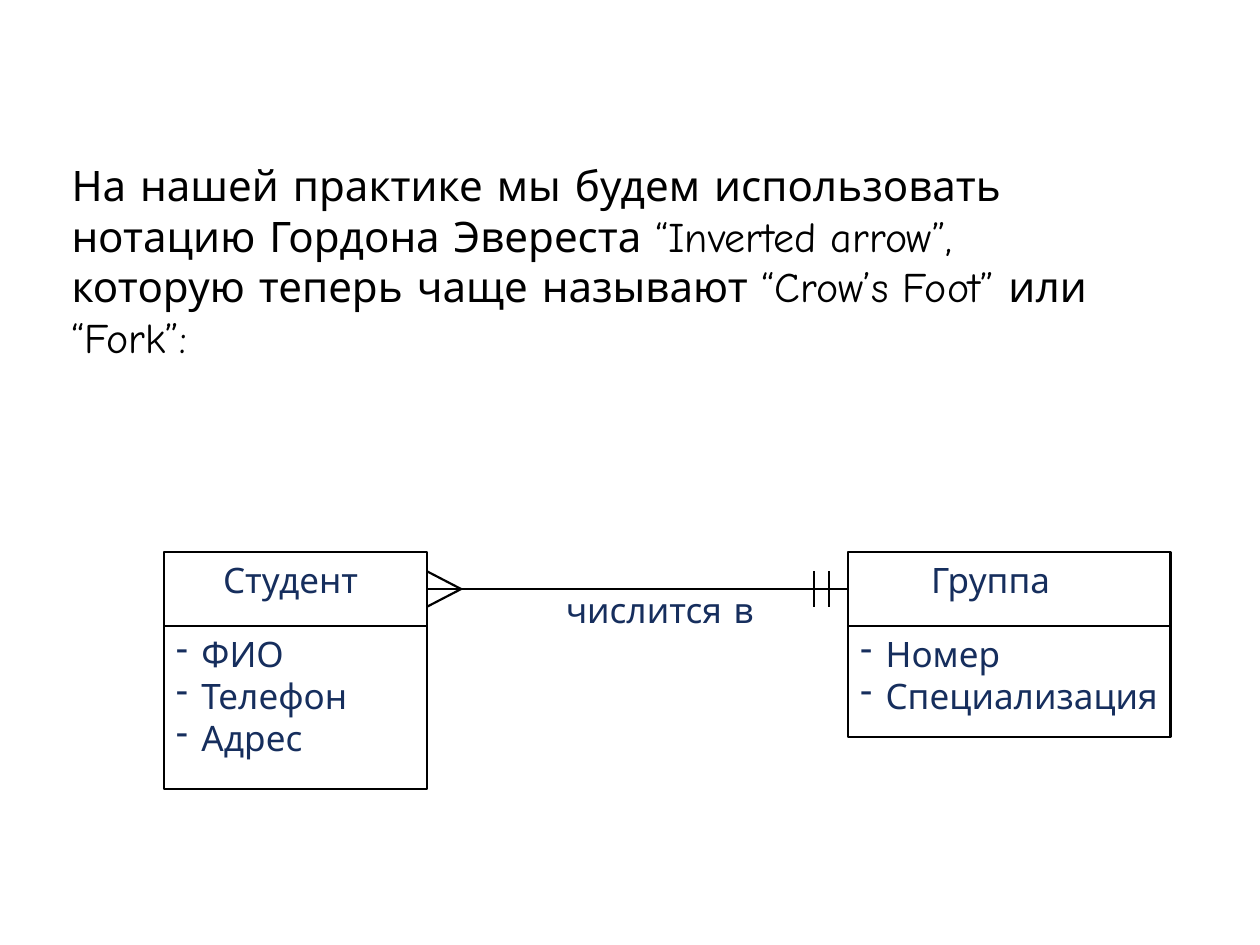
from dataclasses import dataclass

from lxml import etree
from pptx import Presentation
from pptx.dml.color import RGBColor
from pptx.enum import shapes, text
from pptx.oxml.ns import qn
from pptx.util import Inches, Pt


@dataclass(frozen=True)
class Theme:
    font: str = "Comic Neue"
    black: RGBColor = RGBColor(0, 0, 0)
    white: RGBColor = RGBColor(255, 255, 255)
    navy: RGBColor = RGBColor(0x16, 0x2E, 0x5D)
    intro_size: Pt = Pt(24)
    diagram_size: Pt = Pt(20)
    line_width: Pt = Pt(1.25)


theme = Theme()


def write(shape, lines, size, color, left=0.1, top=0.05, wrap=False, dashes=False):
    """Fill a shape with left-aligned paragraphs, optionally as a dashed list."""
    frame = shape.text_frame
    frame.word_wrap = wrap
    frame.vertical_anchor = text.MSO_ANCHOR.TOP
    frame.margin_left, frame.margin_top = Inches(left), Inches(top)
    frame.text = "\n".join(lines)
    for paragraph in frame.paragraphs:
        paragraph.alignment = text.PP_ALIGN.LEFT
        if dashes:
            properties = paragraph._p.get_or_add_pPr()
            properties.set("marL", str(Inches(0.2)))
            properties.set("indent", str(-Inches(0.2)))
            etree.SubElement(properties, qn("a:buChar")).set("char", "-")
        paragraph.font.name = theme.font
        paragraph.font.size = size
        paragraph.font.color.rgb = color


presentation = Presentation()
presentation.slide_width, presentation.slide_height = Inches(10), Inches(7.5)
slide = presentation.slides.add_slide(presentation.slide_layouts[6])

intro = slide.shapes.add_textbox(Inches(0.47), Inches(0.72), Inches(8.57), Inches(6.06))
write(
    intro,
    ["На нашей практике мы будем использовать нотацию Гордона Эвереста “Inverted arrow”, "
     "которую теперь чаще называют “Crow’s Foot” или “Fork”:"],
    theme.intro_size, theme.black, top=0.55, wrap=True,
)

# Entities: name, name inset, attributes, left, width, attribute height
entities = [
    ("Студент", 0.47, ["ФИО", "Телефон", "Адрес"], 1.3, 2.09, 1.29),
    ("Группа", 0.66, ["Номер", "Специализация"], 6.73, 2.56, 0.88),
]
entity_top, header_height = 4.38, 0.59
headers = []
for name, inset, attributes, left, width, attribute_height in entities:
    parts = [
        (entity_top, header_height, [name], inset, False),
        (entity_top + header_height, attribute_height, attributes, 0.1, True),
    ]
    for top, height, lines, margin, dashes in parts:
        box = slide.shapes.add_shape(
            shapes.MSO_SHAPE.RECTANGLE, Inches(left), Inches(top), Inches(width), Inches(height))
        box.shadow.inherit = False
        box.fill.solid()
        box.fill.fore_color.rgb = theme.white
        box.line.color.rgb = theme.black
        box.line.width = theme.line_width
        write(box, lines, theme.diagram_size, theme.navy, left=margin, dashes=dashes)
        if not dashes:
            headers.append(box)

label = slide.shapes.add_textbox(Inches(4.02), Inches(4.62), Inches(2.09), Inches(0.59))
write(label, ["числится в"], theme.diagram_size, theme.navy, left=0.47)

# Relationship line, crow's foot at the student, double bar at the group
axis, spread = entity_top + header_height / 2, 0.14
student_edge, foot_tip, group_edge = 3.39, 3.66, 6.73
segments = [(student_edge, axis, group_edge, axis)]
segments += [(student_edge, axis + side * spread, foot_tip, axis) for side in (-1, 1)]
segments += [(x, axis + spread, x, axis - spread) for x in (6.46, 6.58)]

relationship = slide.shapes.add_group_shape()
connectors = []
for segment in segments:
    connector = relationship.shapes.add_connector(
        shapes.MSO_CONNECTOR.STRAIGHT, *map(Inches, segment))
    connector.line.color.rgb = theme.black
    connector.line.width = theme.line_width
    etree.SubElement(connector._element.spPr, qn("a:effectLst"))
    connectors.append(connector)
connectors[0].begin_connect(headers[0], 3)
connectors[0].end_connect(headers[1], 1)

presentation.save("out.pptx")
